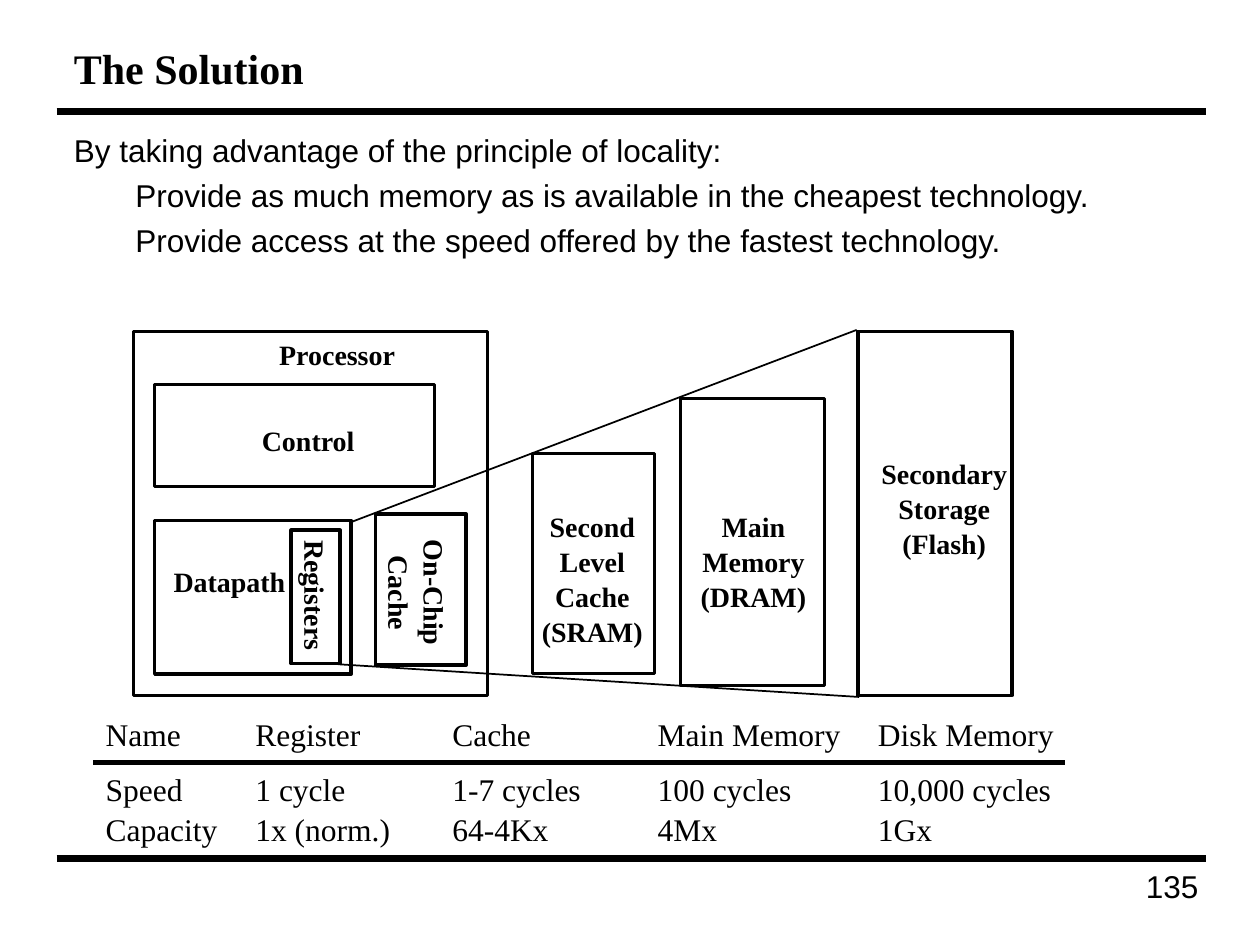
"""Build a slide on the memory hierarchy and the principle of locality."""
from lxml import etree
from pptx import Presentation
from pptx.dml.color import RGBColor
from pptx.enum.shapes import MSO_CONNECTOR, MSO_SHAPE
from pptx.enum.text import MSO_ANCHOR, PP_ALIGN
from pptx.oxml.ns import qn
from pptx.util import Cm, Pt

STRAIGHT, RECTANGLE = MSO_CONNECTOR.STRAIGHT, MSO_SHAPE.RECTANGLE
LEFT, CENTER, RIGHT = PP_ALIGN.LEFT, PP_ALIGN.CENTER, PP_ALIGN.RIGHT
MIDDLE = MSO_ANCHOR.MIDDLE
BLACK = "000000"
SERIF, SANS = "Times New Roman", "Arial"

TITLE_FONT = {"name": SERIF, "size": Pt(24), "bold": True}
BODY_FONT = {"name": SANS, "size": Pt(18)}
LABEL_FONT = {"name": SERIF, "size": Pt(16), "bold": True}
TABLE_FONT = {"name": SERIF, "size": Pt(18)}

TITLE = "The Solution"
PAGE_NUMBER = "135"
BODY = [
    ("By taking advantage of the principle of locality:", 0.94, -0.94),
    ("Provide as much memory as is available in the cheapest technology.", 2.03, -0.79),
    ("Provide access at the speed offered by the fastest technology.", 2.03, -0.79),
]
UNITS = [
    ((3.12, 7.75, 5.64, 2.06), ["Control"], (5.03, 8.38, 2.39, 0.91), LEFT, 0),
    ((3.12, 10.49, 3.96, 3.1), ["Datapath"], (3.25, 11.23, 2.77, 0.91), LEFT, 0),
    ((17.3, 6.68, 3.1, 7.34), ["Secondary", "Storage", "(Flash)"],
     (17.5, 9.04, 3.07, 2.31), CENTER, 0),
    ((2.69, 6.68, 7.14, 7.34), ["Processor"], (5.38, 6.65, 2.84, 0.91), LEFT, 0),
    ((5.87, 10.69, 0.99, 2.69), ["Registers"], (5.03, 11.56, 2.74, 0.91), LEFT, 90),
    ((7.57, 10.36, 1.83, 3.05), ["On-Chip", "Cache"], (7.14, 11.15, 2.64, 1.6), CENTER, 90),
    ((10.74, 9.14, 2.46, 4.44), ["Second", "Level", "Cache", "(SRAM)"],
     (10.67, 10.11, 2.54, 2.97), CENTER, 0),
    ((13.72, 8.03, 2.9, 5.79), ["Main", "Memory", "(DRAM)"],
     (13.87, 10.11, 2.64, 2.29), CENTER, 0),
]
LINES = [
    ((1.14, 2.24, 24.31, 2.24), 4),
    ((1.14, 17.3, 24.31, 17.3), 4),
    ((7.09, 10.52, 17.27, 6.65), 1),
    ((6.81, 13.39, 17.32, 14.05), 1),
    ((1.88, 15.37, 21.46, 15.37), 3),
]
TABLE_HEADER = ["Name", "Register", "Cache", "Main Memory", "Disk Memory"]
TABLE_ROWS = [
    ["Speed", "1 cycle", "1-7 cycles", "100 cycles", "10,000 cycles"],
    ["Capacity", "1x (norm.)", "64-4Kx", "4Mx", "1Gx"],
]
TABLE_TABS = [3.02, 6.99, 11.13, 15.57]


def color(value):
    return RGBColor.from_string(value)


def lengths(values):
    return [Cm(value) for value in values]


def add_text(slide, box, texts, font, align=LEFT, wrap=True, spacing=None, before=0):
    shape = slide.shapes.add_textbox(*lengths(box))
    frame = shape.text_frame
    frame.word_wrap = wrap
    for index, text in enumerate(texts):
        paragraph = frame.add_paragraph() if index else frame.paragraphs[0]
        paragraph.text = text
        paragraph.alignment = align
        if spacing:
            paragraph.line_spacing = spacing
        if index and before:
            paragraph.space_before = Pt(before)
        for run in paragraph.runs:
            for name, value in font.items():
                setattr(run.font, name, value)
            run.font.color.rgb = color(BLACK)
    return shape


def add_rectangle(slide, box):
    shape = slide.shapes.add_shape(RECTANGLE, *lengths(box))
    shape.shadow.inherit = False
    shape.fill.background()
    shape.line.color.rgb = color(BLACK)
    shape.line.width = Pt(2)


def add_line(slide, ends, width):
    line = slide.shapes.add_connector(STRAIGHT, *lengths(ends))
    line.line.color.rgb = color(BLACK)
    line.line.width = Pt(width)
    etree.SubElement(line._element.spPr, qn("a:effectLst"))


def add_body(slide):
    shape = add_text(slide, (1.24, 2.51, 22.96, 3.6), [row[0] for row in BODY],
                     BODY_FONT, before=4.3)
    for paragraph, (_, margin, indent) in zip(shape.text_frame.paragraphs, BODY):
        properties = paragraph._p.get_or_add_pPr()
        properties.set("marL", str(Cm(margin)))
        properties.set("indent", str(Cm(indent)))


def add_tabbed_table(slide):
    rows = "\v".join("\t".join(row) for row in TABLE_ROWS)
    shape = add_text(slide, (1.88, 14.25, 21.95, 2.92), ["\t".join(TABLE_HEADER), rows],
                     TABLE_FONT, spacing=1.05, before=9)
    for paragraph in shape.text_frame.paragraphs:
        tabs = etree.SubElement(paragraph._p.get_or_add_pPr(), qn("a:tabLst"))
        for position in TABLE_TABS:
            etree.SubElement(tabs, qn("a:tab"), pos=str(Cm(position)), algn="l")


def main():
    presentation = Presentation()
    presentation.slide_width, presentation.slide_height = Cm(25.4), Cm(19.05)
    slide = presentation.slides.add_slide(presentation.slide_layouts[6])
    title = add_text(slide, (1.24, 0.64, 22.96, 1.47), [TITLE], TITLE_FONT)
    title.text_frame.vertical_anchor = MIDDLE
    add_text(slide, (19.2, 17.35, 5.21, 1.24), [PAGE_NUMBER], BODY_FONT, RIGHT)
    add_body(slide)
    for box, label, label_box, align, rotation in UNITS:
        add_rectangle(slide, box)
        shape = add_text(slide, label_box, label, LABEL_FONT, align, False, 1.05)
        shape.rotation = rotation
    add_tabbed_table(slide)
    for ends, width in LINES:
        add_line(slide, ends, width)
    presentation.save("out.pptx")


if __name__ == "__main__":
    main()
